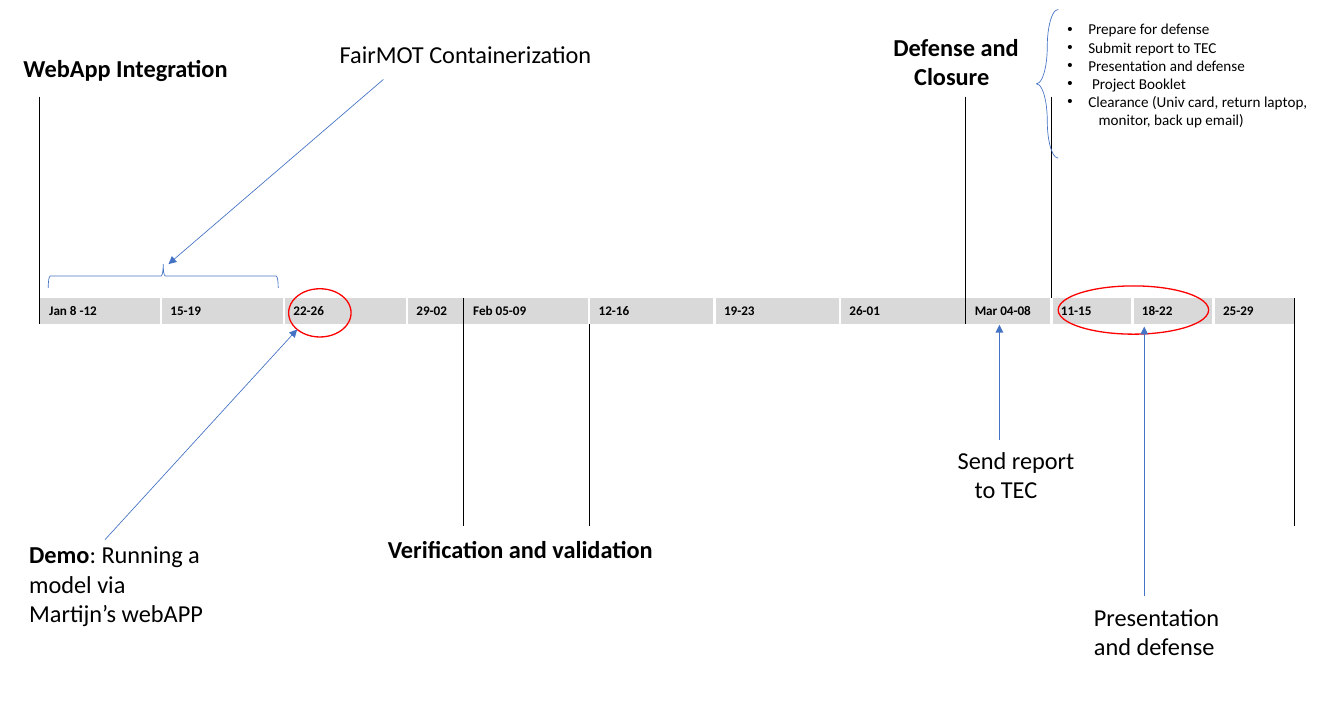
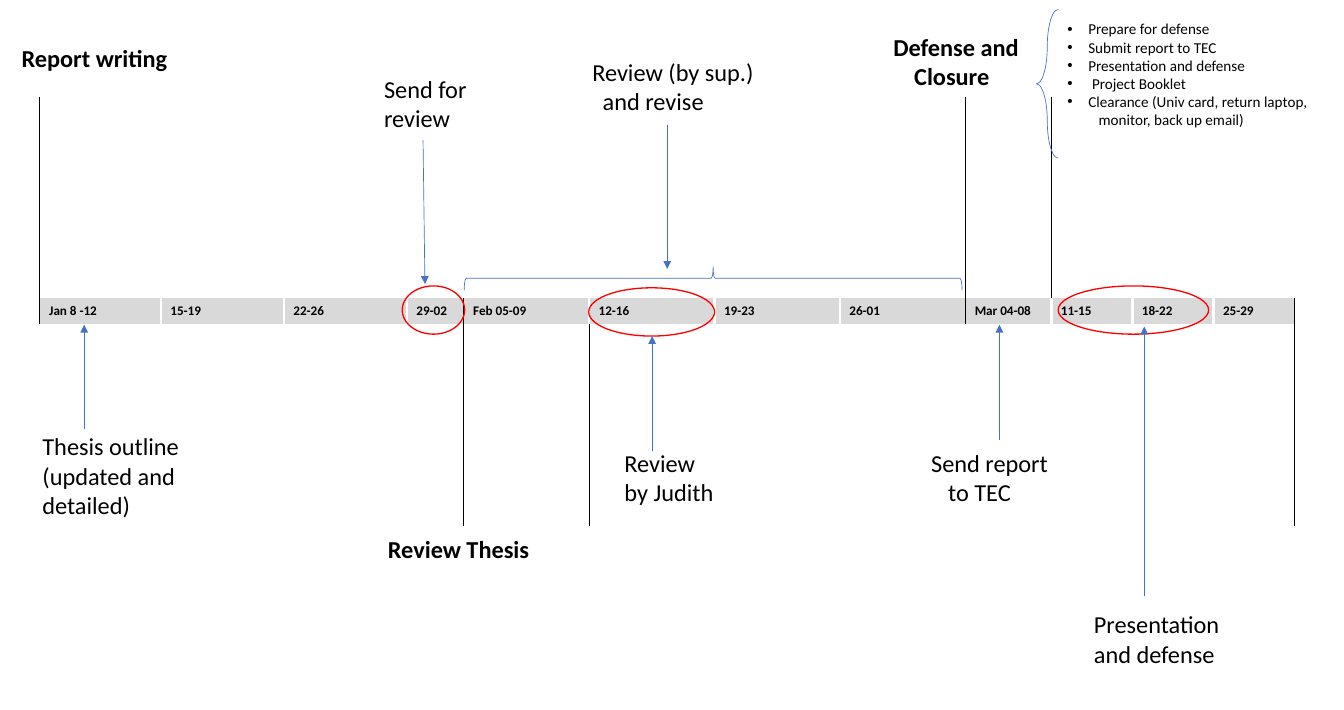
from itertools import accumulate

from lxml import etree
from pptx import Presentation
from pptx.dml.color import RGBColor
from pptx.enum.shapes import MSO_CONNECTOR as CONN, MSO_SHAPE as SHAPE
from pptx.enum.text import MSO_ANCHOR as ANCHOR
from pptx.oxml.ns import qn
from pptx.util import Inches, Pt

FONT, BLACK, WHITE = "Calibri", "000000", "FFFFFF"
GREY, RED, BLUE = "D9D9D9", "FF0000", "4472C4"

prs = Presentation()
prs.slide_width, prs.slide_height = Inches(14.2), Inches(7.5)
U = prs.slide_width / 142  # the slide is a grid of 142 columns by 75 rows


def grid(*cells):
    return [round(c * U) for c in cells]


def style(r, size, bold=False, color=BLACK):
    r.font.name, r.font.size, r.font.bold = FONT, Pt(size), bold
    r.font.color.rgb = RGBColor.from_string(color)


# Timeline: January, February and March, one column a week
WEEKS = ["Jan 8 -12", "15-19", "22-26", "29-02",
         "Feb 05-09", "12-16", "19-23", "26-01",
         "Mar 04-08", "11-15", "18-22", "25-29"]
WIDTHS = [12.8, 13, 13, 6] + [53 / 4] * 4 + [9.1] + [25.7 / 3] * 3
LEFT, TOP, ROWS, BAR, ROW_H, BAR_H = 4.2, 10.2, 15, 7, 3.04, 2.8
EDGES = list(accumulate(WIDTHS, initial=LEFT))
MONTHS, ABOVE, BELOW = {0, 4, 8, 12}, {0, 8}, {4, 12}
NO_GRID = "{2D5ABB26-0587-4C30-8999-92F81FD0307C}"

# Text boxes: left, top, width, height, then (bold, plain, indent) a paragraph
CLOSURE = (93.4, 2.9, 17, 7.2, [("Defense and", "", 0), ("Closure", "", 2.2)])
SEND = [("", "Send report", 0), ("", "to TEC", 1.8)]
PRESENT = [("", "Presentation", 0), ("", "and defense", 0)]

# Bulleted list beside the brace: text, indent, bullet
TASKS = [("Prepare for defense", 2.2, True), ("Submit report to TEC", 2.2, True),
         ("Presentation and defense", 2.2, True), ("Project Booklet", 2.6, True),
         ("Clearance (Univ card, return laptop,", 2.2, True),
         ("monitor, back up email)", 3.3, False)]

# Parts on every slide
ELLIPSES = [(111.8, 30.2, 15.9, 5.1)]
ARROWS = [(120.9, 63, 120.9, 34.5), (105.6, 46.5, 105.6, 34.3)]
BRACES = [(109.5, 1, 2.3, 15.7, 180)]

SLIDES = [
    dict(
        texts=[
            (1.5, 5.1, 25, 4.1, [("WebApp Integration", "", 0)]),
            (40, 55.9, 32, 4.1, [("Verification and validation", "", 0)]),
            (2.1, 56.5, 21.5, 10.3,
             [("Demo", ": Running a model via Martijn’s webAPP", 0)]),
            (114.6, 63.1, 17, 7.2, PRESENT),
            (100.2, 46.5, 16, 7.2, SEND),
            (34.9, 3.6, 30, 4.1, [("", "FairMOT Containerization", 0)])],
        ellipses=[(30.5, 30.5, 6.6, 5.1)],
        arrows=[(11.1, 57, 31.4, 34.8), (40.5, 8.4, 17.8, 27.9)],
        braces=[(16, 17, 2.5, 24.3, 270)]),
    dict(
        texts=[
            (1.3, 4.1, 19, 4.1, [("Report writing", "", 0)]),
            (40, 55.9, 19, 4.1, [("Review Thesis", "", 0)]),
            (39.6, 7.3, 13, 7.2, [("", "Send for", 0), ("", "review", 0)]),
            (114.6, 63.9, 17, 7.2, PRESENT),
            (97.4, 46.8, 16, 7.2, SEND),
            (65, 46.8, 13, 7.2, [("", "Review", 0), ("", "by Judith", 0)]),
            (61.6, 5.5, 21, 7.2,
             [("", "Review (by sup.)", 0), ("", "and revise", 1.1)]),
            (3.5, 45.1, 17.6, 10.3,
             [("", "Thesis outline", 0), ("", "(updated and detailed)", 0)])],
        ellipses=[(42.5, 30.2, 6.6, 5.1), (62.2, 30.4, 13.3, 5.1)],
        arrows=[(44.7, 14.8, 44.9, 30), (70.5, 13.2, 70.5, 28.4),
                (68.9, 47.6, 68.9, 35.5), (8.9, 45.3, 8.9, 34.3)],
        braces=[(74.1, 3.1, 2.5, 52.6, 270)]),
]

for plan in SLIDES:
    s = prs.slides.add_slide(prs.slide_layouts[6])

    # Timeline table
    height = (ROWS - 1) * ROW_H + BAR_H
    frame = s.shapes.add_table(ROWS, len(WEEKS),
                               *grid(LEFT, TOP, sum(WIDTHS), height))
    table = frame.table
    table.first_row = table.horz_banding = False
    table._tbl.tblPr.find(qn("a:tableStyleId")).text = NO_GRID
    for c, (a, b) in enumerate(zip(EDGES, EDGES[1:])):
        table.columns[c].width = grid(b - a)[0]
    for i in range(ROWS):
        table.rows[i].height = grid(BAR_H if i == BAR else ROW_H)[0]
        black = ABOVE if i < BAR else MONTHS if i == BAR else BELOW
        for c, week in enumerate(WEEKS):
            cell = table.cell(i, c)
            cell.vertical_anchor = ANCHOR.MIDDLE
            p = cell.text_frame.paragraphs[0]
            if i == BAR:
                p.text = week
                style(p.runs[0], 10, True)
                cell.fill.solid()
                cell.fill.fore_color.rgb = RGBColor.from_string(GREY)
            else:
                cell.fill.background()
                etree.SubElement(p._p, qn("a:endParaRPr"), sz="1000")
            # Side borders: black at the month marks, white between weeks
            tcPr = cell._tc.get_or_add_tcPr()
            for tag, edge in (("a:lnR", c + 1), ("a:lnL", c)):
                if edge in black or i == BAR:
                    color, pt = (BLACK, 1) if edge in black else (WHITE, 2.25)
                    ln = etree.Element(qn(tag), w=str(Pt(pt)))
                    fill = etree.SubElement(ln, qn("a:solidFill"))
                    etree.SubElement(fill, qn("a:srgbClr"), val=color)
                    tcPr.insert(0, ln)

    # Headings and labels
    for *box, lines in [CLOSURE] + plan["texts"]:
        tf = s.shapes.add_textbox(*grid(*box)).text_frame
        tf.word_wrap = True
        for i, (bold, plain, indent) in enumerate(lines):
            p = tf.add_paragraph() if i else tf.paragraphs[0]
            p._p.get_or_add_pPr().set("marL", str(grid(indent)[0]))
            for text, is_bold in ((bold, True), (plain, False)):
                if text:
                    r = p.add_run()
                    r.text = text
                    style(r, 18.5, is_bold)

    # Closing tasks
    tf = s.shapes.add_textbox(*grid(111.8, 1.6, 29, 14.6)).text_frame
    tf.word_wrap = True
    for i, (task, indent, bullet) in enumerate(TASKS):
        p = tf.add_paragraph() if i else tf.paragraphs[0]
        p.text = task
        style(p.runs[0], 11.5)
        pPr = p._p.get_or_add_pPr()
        pPr.set("marL", str(grid(indent)[0]))
        if bullet:
            pPr.set("indent", str(-grid(indent)[0]))
            etree.SubElement(pPr, qn("a:buFont"), typeface="Arial")
            etree.SubElement(pPr, qn("a:buChar"), char="•")

    # Rings around weeks, and braces
    outlines = [(SHAPE.OVAL, box, 0, RED, 1) for box in ELLIPSES + plan["ellipses"]]
    outlines += [(SHAPE.RIGHT_BRACE, box, turn, BLUE, 0.5)
                 for *box, turn in BRACES + plan["braces"]]
    for kind, box, turn, color, pt in outlines:
        sp = s.shapes.add_shape(kind, *grid(*box))
        sp.shadow.inherit = False
        sp.rotation = turn
        sp.fill.background()
        sp.line.color.rgb = RGBColor.from_string(color)
        sp.line.width = Pt(pt)
        if turn == 180:
            sp.adjustments[0] = 2.32

    # Arrows
    for ends in ARROWS + plan["arrows"]:
        arrow = s.shapes.add_connector(CONN.STRAIGHT, *grid(*ends))
        arrow.line.color.rgb = RGBColor.from_string(BLUE)
        arrow.line.width = Pt(0.5)
        etree.SubElement(arrow.line._get_or_add_ln(), qn("a:tailEnd"), type="triangle")
        etree.SubElement(arrow._element.spPr, qn("a:effectLst"))

prs.save("out.pptx")
